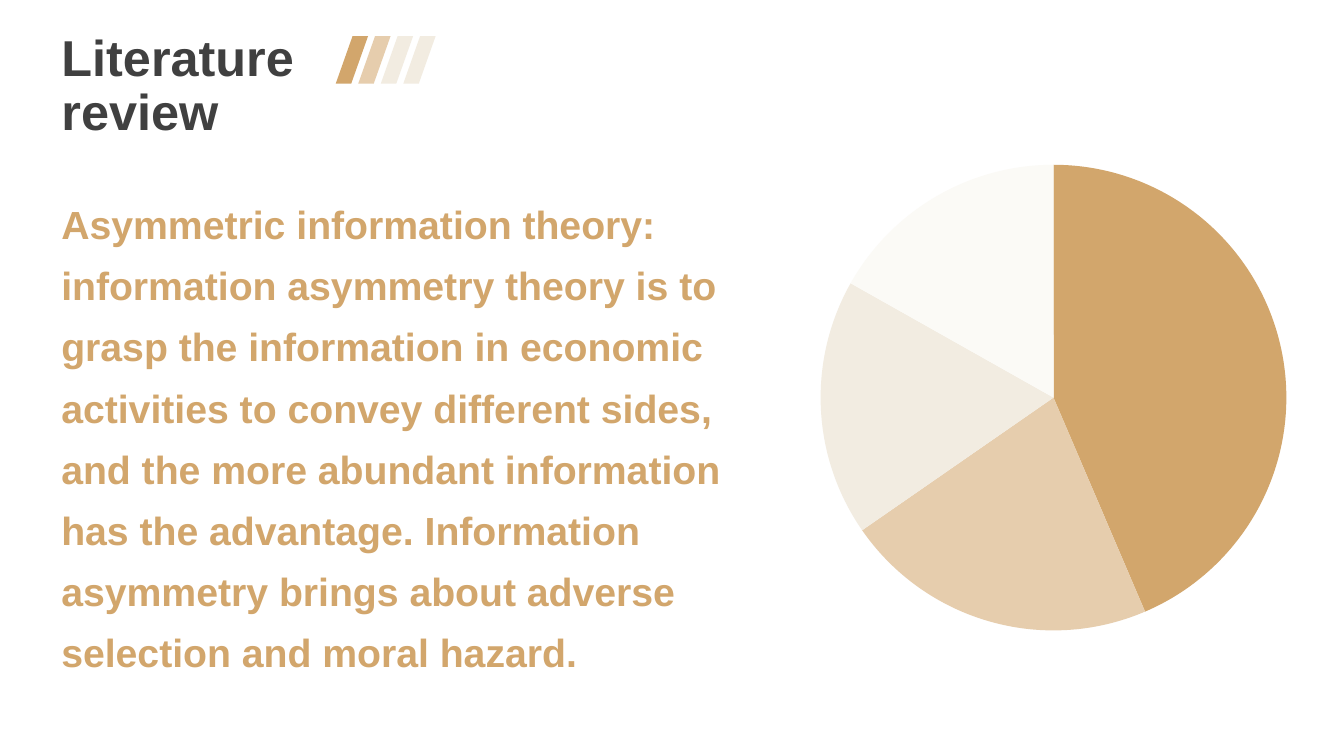
from lxml import etree
from pptx import Presentation
from pptx.chart.data import CategoryChartData
from pptx.dml.color import RGBColor
from pptx.enum.chart import XL_CHART_TYPE
from pptx.enum.shapes import MSO_SHAPE
from pptx.enum.text import MSO_ANCHOR, PP_ALIGN
from pptx.oxml import parse_xml
from pptx.oxml.ns import nsdecls
from pptx.util import Inches, Pt

FONT = "Arial"
COLORS = {
    "heading": "404040",
    "gold": "D2A66C",
    "sand": "E6CDAD",
    "cream": "F2ECE1",
    "ivory": "FBFAF6",
    "label": "000000",
}
THEORY = (
    "Asymmetric information theory: information asymmetry theory is to grasp "
    "the information in economic activities to convey different sides, and the "
    "more abundant information has the advantage. Information asymmetry brings "
    "about adverse selection and moral hazard."
)
SHARES = [("1", 44, "gold"), ("2", 22, "sand"), ("3", 18, "cream"), ("4", 17, "ivory")]


def color(name):
    return RGBColor.from_string(COLORS[name])


def write_text(frame, text, size, color_name, line_spacing, anchor):
    frame.word_wrap = True
    frame.vertical_anchor = anchor
    paragraph = frame.paragraphs[0]
    paragraph.alignment = PP_ALIGN.LEFT
    paragraph.line_spacing = line_spacing
    paragraph.space_before = Pt(0)
    run = paragraph.add_run()
    run.text = text
    run.font.name = FONT
    run.font.size = Pt(size)
    run.font.bold = True
    run.font.color.rgb = color(color_name)


def add_heading(slide, left, top, width, height):
    heading = slide.shapes.title
    heading.left, heading.top = Inches(left), Inches(top)
    heading.width, heading.height = Inches(width), Inches(height)
    write_text(heading.text_frame, "Literature review", 36, "heading", 0.9, MSO_ANCHOR.MIDDLE)


def add_stripes(slide, left, top, width, height):
    """Place four slanted bars, evenly stepped across the box."""
    shades = ["gold", "sand", "cream", "cream"]
    bar_width = 0.32
    step = (width - bar_width) / (len(shades) - 1)
    for index, shade in enumerate(shades):
        bar = slide.shapes.add_shape(
            MSO_SHAPE.PARALLELOGRAM,
            Inches(left + index * step), Inches(top), Inches(bar_width), Inches(height),
        )
        bar.adjustments[0] = 0.52
        bar.shadow.inherit = False
        bar.fill.solid()
        bar.fill.fore_color.rgb = color(shade)
        bar.line.fill.background()


def add_theory(slide, left, top, width, height):
    theory = slide.shapes.add_textbox(Inches(left), Inches(top), Inches(width), Inches(height))
    write_text(theory.text_frame, THEORY, 28, "gold", 1.3, MSO_ANCHOR.TOP)


def set_plot_area(chart, x, y, width, height):
    """Fix the inner plot area as fractions of the chart box."""
    layout = parse_xml(f"<c:layout {nsdecls('c')}><c:manualLayout/></c:layout>")
    manual = layout[0]
    settings = {
        "layoutTarget": "inner", "xMode": "edge", "yMode": "edge",
        "x": x, "y": y, "w": width, "h": height,
    }
    for tag, value in settings.items():
        etree.SubElement(manual, f"{{{layout.nsmap['c']}}}{tag}", val=str(value))
    plot_area = chart.plots[0]._element.getparent()
    for automatic in plot_area.findall("c:layout", layout.nsmap):
        plot_area.remove(automatic)
    plot_area.insert(0, layout)


def add_share_pie(slide, left, top, width, height):
    data = CategoryChartData()
    data.categories = [category for category, _, _ in SHARES]
    data.add_series("Series 1", [share for _, share, _ in SHARES])
    chart = slide.shapes.add_chart(
        XL_CHART_TYPE.PIE, Inches(left), Inches(top), Inches(width), Inches(height), data
    ).chart
    chart.has_title = False
    chart.has_legend = False
    chart.font.name = FONT
    chart.font.size = Pt(18)
    chart.font.color.rgb = color("label")
    pie = chart.plots[0]
    pie.vary_by_categories = True
    for index, (_, _, shade) in enumerate(SHARES):
        wedge = pie.series[0].points[index].format
        wedge.fill.solid()
        wedge.fill.fore_color.rgb = color(shade)
        wedge.line.fill.background()
    set_plot_area(chart, 0.04, 0.03, 0.88, 0.84)


def main():
    presentation = Presentation()
    presentation.slide_width = Inches(13.33)
    presentation.slide_height = Inches(7.5)
    slide = presentation.slides.add_slide(presentation.slide_layouts[5])
    add_stripes(slide, 3.33, 0.36, 0.99, 0.47)
    add_heading(slide, 0.51, 0.27, 2.94, 1.19)
    add_theory(slide, 0.51, 1.8, 6.84, 4.94)
    add_share_pie(slide, 7.91, 1.47, 5.29, 5.5)
    presentation.save("out.pptx")


if __name__ == "__main__":
    main()
